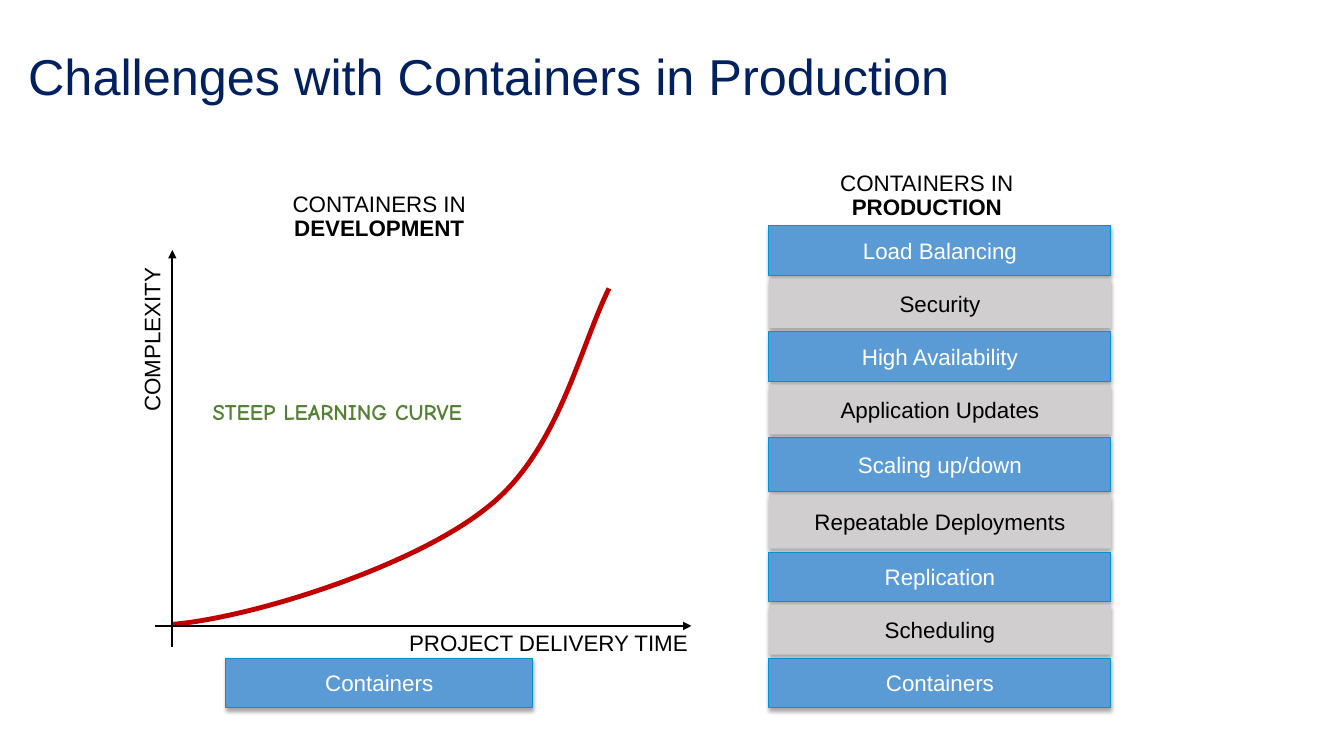
from lxml import etree
from pptx import Presentation
from pptx.dml.color import RGBColor
from pptx.enum import shapes, text
from pptx.oxml import ns
from pptx.util import Pt

COLORS = {
    "title": "002060", "black": "000000", "white": "FFFFFF", "blue": "5B9BD5",
    "blue_line": "0093D3", "gray": "D0CECE", "curve": "C00000", "green": "548235",
}
BLOCK_HEIGHT = 35.3
TALL_HEIGHT = 38.2
PRODUCTION_LAYERS = [
    ("Load Balancing", BLOCK_HEIGHT), ("Security", BLOCK_HEIGHT),
    ("High Availability", BLOCK_HEIGHT), ("Application Updates", BLOCK_HEIGHT),
    ("Scaling up/down", TALL_HEIGHT), ("Repeatable Deployments", TALL_HEIGHT),
    ("Replication", BLOCK_HEIGHT), ("Scheduling", BLOCK_HEIGHT),
    ("Containers", BLOCK_HEIGHT),
]


def color(name):
    return RGBColor.from_string(COLORS[name])


def add_element(parent, tag, **attributes):
    return etree.SubElement(parent, ns.qn(tag), attributes)


def format_paragraph(paragraph, size, color_name, font="Arial", bold=False):
    for run in paragraph.runs:
        run.font.name = font
        run.font.size = Pt(size)
        run.font.bold = bold
        run.font.color.rgb = color(color_name)


def add_label(slide, box, lines, size=16, color_name="black", font="Arial",
              bold_line=None, centered=False, inset=True, wrap=True, spacing=0.9):
    label = slide.shapes.add_textbox(*map(Pt, box))
    frame = label.text_frame
    frame.word_wrap = wrap
    if not inset:
        frame.margin_left = frame.margin_right = 0
        frame.margin_top = frame.margin_bottom = 0
    frame.text = "\n".join(lines)
    for index, paragraph in enumerate(frame.paragraphs):
        paragraph.line_spacing = spacing
        if centered:
            paragraph.alignment = text.PP_ALIGN.CENTER
        format_paragraph(paragraph, size, color_name, font, index == bold_line)
    return label


def add_block(slide, box, caption, blue=True):
    block = slide.shapes.add_shape(shapes.MSO_SHAPE.RECTANGLE, *map(Pt, box))
    block.fill.solid()
    block.fill.fore_color.rgb = color("blue" if blue else "gray")
    if blue:
        block.line.color.rgb = color("blue_line")
        block.line.width = Pt(0.75)
    else:
        block.line.fill.background()
    # Soft shadow below the block
    block.shadow.inherit = False
    effects = block._element.spPr.find(ns.qn("a:effectLst"))
    shadow = add_element(effects, "a:outerShdw", blurRad=str(Pt(3.1)), dist=str(Pt(1.8)),
                         dir="5400000", rotWithShape="0")
    shade = add_element(shadow, "a:srgbClr", val=COLORS["black"])
    add_element(shade, "a:alpha", val="35000")
    frame = block.text_frame
    frame.word_wrap = True
    frame.vertical_anchor = text.MSO_ANCHOR.MIDDLE
    frame.text = caption
    frame.paragraphs[0].alignment = text.PP_ALIGN.CENTER
    format_paragraph(frame.paragraphs[0], 16, "white" if blue else "black")


def add_axis(slide, start, end):
    axis = slide.shapes.add_connector(shapes.MSO_CONNECTOR.STRAIGHT, *map(Pt, start + end))
    axis.line.color.rgb = color("black")
    axis.line.width = Pt(1.5)
    add_element(axis.line._get_or_add_ln(), "a:tailEnd", type="triangle")
    add_element(axis._element.spPr, "a:effectLst")


def add_curve(slide, points):
    """Draw a Bezier curve: a start point, then three points per segment."""
    builder = slide.shapes.build_freeform(*points[0], scale=Pt(1))
    builder.add_line_segments(points[1:], close=False)
    curve = builder.convert_to_shape()
    # Turn each three straight steps into one cubic segment
    steps = list(curve._element.iter(ns.qn("a:lnTo")))
    outline = steps[0].getparent()
    for first in range(0, len(steps), 3):
        segment = add_element(outline, "a:cubicBezTo")
        for step in steps[first:first + 3]:
            segment.append(step[0])
            outline.remove(step)
    curve.shadow.inherit = False
    curve.fill.background()
    curve.line.color.rgb = color("curve")
    curve.line.width = Pt(3.5)


def add_title(slide, box):
    title = add_label(slide, box, ["Challenges with Containers in Production"], 36, "title")
    title.text_frame.vertical_anchor = text.MSO_ANCHOR.MIDDLE


def add_development(slide, box):
    left, top, width, height = box
    right, bottom = left + width, top + height
    origin_x, origin_y = left + 12.2, bottom - 58.4

    # Heading and note
    add_label(slide, (left + 92, top, 136, 43), ["CONTAINERS IN", "DEVELOPMENT"],
              bold_line=1, centered=True, inset=False)
    add_label(slide, (left + 41, top + 148.3, 246, 13), ["STEEP LEARNING CURVE"],
              color_name="green", font="Comic Neue", bold_line=0, inset=False)

    # Learning curve, as offsets from the origin
    offsets = [(0, 1.5), (57.6, 6.5), (171.4, 42.5), (223.2, 82.8),
               (275, 122.4), (290.2, 196.6), (311.8, 241.2)]
    add_curve(slide, [(origin_x + x, origin_y - y) for x, y in offsets])

    # Starting block
    add_block(slide, (left + 50.5, bottom - BLOCK_HEIGHT, 219, BLOCK_HEIGHT), "Containers")

    # Axes and their names
    add_axis(slide, (left, origin_y), (right, origin_y))
    add_axis(slide, (origin_x, origin_y + 15), (origin_x, top + 40.4))
    complexity = add_label(slide, (left - 62, top + 90, 119, 26.6), ["COMPLEXITY"],
                           wrap=False, spacing=1.0)
    complexity.rotation = 270
    add_label(slide, (right - 208.8, origin_y - 1.4, 216, 26.6), ["PROJECT DELIVERY TIME"],
              wrap=False, spacing=1.0)


def add_production(slide, box):
    left, top, width, height = box
    heading_height = 38.2
    add_label(slide, (left - 43.4, top, 312.5, 36), ["CONTAINERS IN", "PRODUCTION"],
              bold_line=1, centered=True, inset=False)

    # Stack of layers with equal gaps, in alternating colours
    used = heading_height + sum(layer_height for _, layer_height in PRODUCTION_LAYERS)
    gap = (height - used) / (len(PRODUCTION_LAYERS) - 1)
    layer_top = top + heading_height
    for index, (caption, layer_height) in enumerate(PRODUCTION_LAYERS):
        add_block(slide, (left, layer_top, width, layer_height), caption, index % 2 == 0)
        layer_top += layer_height + gap


def main():
    presentation = Presentation()
    presentation.slide_width, presentation.slide_height = Pt(960), Pt(540)
    slide = presentation.slides.add_slide(presentation.slide_layouts[6])
    add_title(slide, (13, 2.2, 828, 109.4))
    add_production(slide, (549.2, 123.1, 244.4, 382.4))
    add_development(slide, (110.9, 138.2, 383, 367.3))
    presentation.save("out.pptx")


if __name__ == "__main__":
    main()
